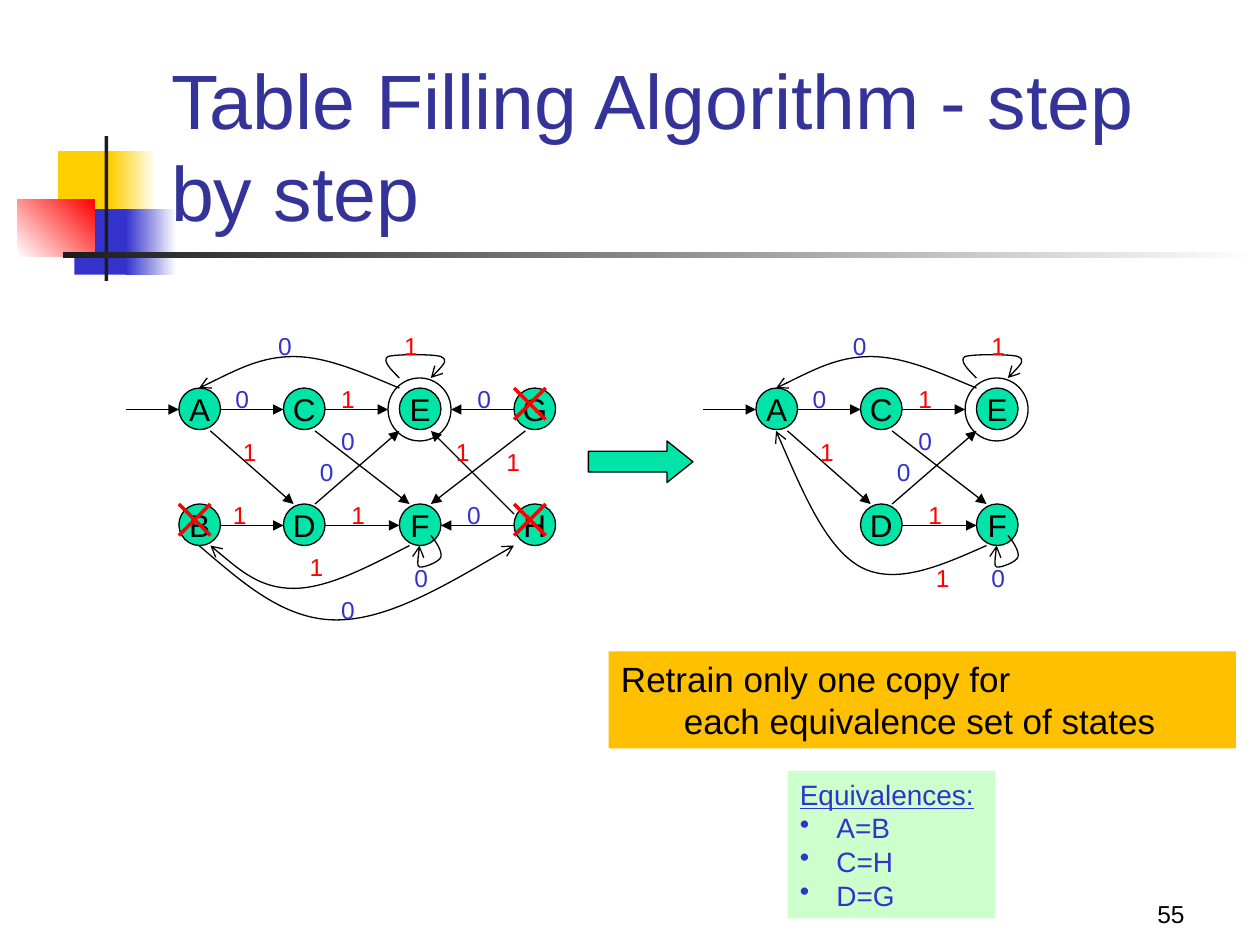
from dataclasses import dataclass

from lxml import etree
from pptx import Presentation
from pptx.dml.color import RGBColor
from pptx.enum import shapes, text
from pptx.oxml.ns import qn
from pptx.util import Inches, Pt


@dataclass(frozen=True)
class Theme:
    font: str = "Arial"
    black: str = "000000"
    white: str = "FFFFFF"
    charcoal: str = "1C1C1C"
    yellow: str = "FFCF01"
    blue: str = "3333CC"
    red: str = "FF0000"
    title: str = "333399"
    state: str = "00E4A8"
    note: str = "FFC000"
    equivalences: str = "CCFFCC"
    title_size: int = 44
    note_size: int = 20
    state_size: int = 18
    list_size: int = 16
    label_size: int = 14


theme = Theme()
rgb = RGBColor.from_string


def draw_edge(shape, head, color=theme.black, width=0.75):
    """Style a connector or open curve, without shadow, with an optional arrowhead."""
    shape.line.color.rgb = rgb(color)
    shape.line.width = Pt(width)
    if head:
        etree.SubElement(shape.line._get_or_add_ln(), qn("a:tailEnd"), type=head)
    etree.SubElement(shape._element.spPr, qn("a:effectLst"))


def write(shape, lines, size, color, align=text.PP_ALIGN.LEFT, anchor=text.MSO_ANCHOR.TOP):
    frame = shape.text_frame
    frame.word_wrap = True
    frame.vertical_anchor = anchor
    for index, line in enumerate(lines):
        paragraph = frame.add_paragraph() if index else frame.paragraphs[0]
        paragraph.text = line
        paragraph.alignment = align
        paragraph.font.name = theme.font
        paragraph.font.size = Pt(size)
        paragraph.font.color.rgb = rgb(color)


presentation = Presentation()
presentation.slide_width = Inches(10)
presentation.slide_height = Inches(7.5)
slide = presentation.slides.add_slide(presentation.slide_layouts[6])

# Title ornament: left, top, width, height, first colour, last colour, angle
ornament = [
    (0.46, 1.2, 0.48, 0.52, theme.yellow, None, 0),
    (0.88, 1.2, 0.36, 0.52, theme.yellow, theme.white, 0),
    (0.59, 1.66, 0.46, 0.52, theme.blue, None, 0),
    (1, 1.66, 0.4, 0.52, theme.blue, theme.white, 0),
    (0.14, 1.58, 0.61, 0.46, theme.white, theme.red, 45),
    (0.83, 1.08, 0.03, 1.15, theme.charcoal, None, 0),
    (0.5, 2, 9.5, 0.05, theme.charcoal, theme.white, 0),
]
for *box, first, last, angle in ornament:
    block = slide.shapes.add_shape(shapes.MSO_SHAPE.RECTANGLE, *map(Inches, box))
    block.shadow.inherit = False
    block.line.fill.background()
    if last:
        block.fill.gradient()
        block.fill.gradient_angle = angle
        for stop, color in zip(block.fill.gradient_stops, (first, last)):
            stop.color.rgb = rgb(color)
    else:
        block.fill.solid()
        block.fill.fore_color.rgb = rgb(first)

title = slide.shapes.add_textbox(Inches(1.26), Inches(0.68), Inches(8.52), Inches(1.25))
write(title, ["Table Filling Algorithm - step by step"], theme.title_size, theme.title,
      anchor=text.MSO_ANCHOR.BOTTOM)
number = slide.shapes.add_textbox(Inches(7.42), Inches(6.92), Inches(2.08), Inches(0.5))
write(number, ["55"], theme.label_size, theme.black, text.PP_ALIGN.RIGHT,
      text.MSO_ANCHOR.BOTTOM)

# Both automata share one layout; the minimized one stands further right
SHIFT = 4.58
DIAMETER = 0.33
COLUMNS = (1.42, 2.25, 3.17, 4.08)
ROWS = (3.08, 4)
corners = {name: (left, top) for top, names in zip(ROWS, ("ACEG", "BDFH"))
           for left, name in zip(COLUMNS, names)}

shared_arrows = [
    (1, 3.25, 1.42, 3.25), (1.75, 3.25, 2.25, 3.25), (2.58, 3.25, 3.08, 3.25),
    (2.58, 4.17, 3.17, 4.17), (1.67, 3.42, 2.33, 4), (2.5, 4, 3.17, 3.42),
    (2.5, 3.42, 3.25, 4),
]
full_arrows = [
    (4.08, 3.25, 3.58, 3.25), (1.75, 4.17, 2.25, 4.17), (4.08, 4.17, 3.5, 4.17),
    (4.17, 3.42, 3.42, 4), (4.08, 4.08, 3.42, 3.42),
]
# Curves: a start point, then three Bézier points for each segment
shared_curves = [
    [(3.42, 4.25), (3.47, 4.31), (3.51, 4.38), (3.5, 4.42),
     (3.49, 4.46), (3.36, 4.51), (3.33, 4.5), (3.31, 4.49), (3.32, 4.41), (3.33, 4.33)],
    [(3.17, 3), (3.1, 2.93), (3.03, 2.86), (3.08, 2.83),
     (3.14, 2.81), (3.44, 2.81), (3.5, 2.83), (3.56, 2.86), (3.49, 2.93), (3.42, 3)],
    [(3.17, 3.08), (2.88, 2.96), (2.6, 2.83), (2.33, 2.83),
     (2.07, 2.83), (1.83, 2.96), (1.58, 3.08)],
]
full_curves = [
    [(3.25, 4.33), (2.92, 4.5), (2.6, 4.67), (2.33, 4.67),
     (2.07, 4.67), (1.87, 4.5), (1.67, 4.33)],
    [(1.58, 4.33), (1.92, 4.62), (2.25, 4.92), (2.67, 4.92),
     (3.08, 4.92), (3.58, 4.62), (4.08, 4.33)],
]
minimized_curves = [
    [(3.25, 4.33), (2.89, 4.49), (2.53, 4.65), (2.25, 4.5),
     (1.98, 4.35), (1.78, 3.88), (1.58, 3.42)],
]
shared_labels = [
    ("0", 1.77, 3), ("1", 2.61, 3), ("1", 1.83, 3.42), ("0", 2.61, 3.33),
    ("0", 2.44, 3.58), ("1", 2.69, 3.92), ("0", 3.19, 4.42),
]
full_labels = [
    ("1", 1.75, 3.92), ("1", 2.36, 4.33), ("1", 3.92, 3.5), ("1", 3.52, 3.42),
    ("1", 3.11, 2.58), ("0", 2.11, 2.58), ("0", 2.61, 4.67), ("0", 3.61, 3.92),
    ("0", 3.69, 3),
]
minimized_labels = [("1", 3.19, 2.58), ("0", 2.09, 2.58), ("1", 2.75, 4.42)]

automata = [
    (0, "ACEGBDFH", full_arrows, full_curves, full_labels),
    (SHIFT, "ACEDF", [], minimized_curves, minimized_labels),
]
for shift, states, arrows, curves, labels in automata:
    for name in states:
        left, top = corners[name]
        state = slide.shapes.add_shape(shapes.MSO_SHAPE.OVAL, Inches(left + shift),
                                       Inches(top), Inches(DIAMETER), Inches(DIAMETER))
        state.shadow.inherit = False
        state.fill.solid()
        state.fill.fore_color.rgb = rgb(theme.state)
        state.line.color.rgb = rgb(theme.black)
        state.line.width = Pt(0.75)
        write(state, [name], theme.state_size, theme.black, text.PP_ALIGN.CENTER,
              text.MSO_ANCHOR.MIDDLE)
        state.text_frame.word_wrap = False

    accepting_ring = slide.shapes.add_shape(shapes.MSO_SHAPE.OVAL, Inches(3.08 + shift),
                                            Inches(3), Inches(0.5), Inches(0.5))
    accepting_ring.fill.background()
    draw_edge(accepting_ring, None)

    for x1, y1, x2, y2 in shared_arrows + arrows:
        arrow = slide.shapes.add_connector(
            shapes.MSO_CONNECTOR.STRAIGHT, Inches(x1 + shift), Inches(y1),
            Inches(x2 + shift), Inches(y2))
        draw_edge(arrow, "triangle")

    for curve in shared_curves + curves:
        start, *points = [(Inches(x + shift), Inches(y)) for x, y in curve]
        builder = slide.shapes.build_freeform(*start)
        builder.add_line_segments(points, close=False)
        transition = builder.convert_to_shape()
        # Every three straight segments become one Bézier segment
        outline = next(transition._element.iter(qn("a:path")))
        segments = list(outline)[1:]
        for index in range(0, len(segments), 3):
            bezier = etree.SubElement(outline, qn("a:cubicBezTo"))
            for segment in segments[index:index + 3]:
                bezier.append(segment[0])
                outline.remove(segment)
        transition.fill.background()
        draw_edge(transition, "arrow")

    for symbol, left, top in shared_labels + labels:
        label = slide.shapes.add_textbox(Inches(left + shift), Inches(top),
                                         Inches(0.31), Inches(0.33))
        write(label, [symbol], theme.label_size, theme.blue if symbol == "0" else theme.red)

# Crosses over the redundant states
CROSS = 0.25
for name in "BHG":
    left, top = corners[name]
    for start_y, end_y in ((top, top + CROSS), (top + CROSS, top)):
        stroke = slide.shapes.add_connector(
            shapes.MSO_CONNECTOR.STRAIGHT, Inches(left), Inches(start_y),
            Inches(left + CROSS), Inches(end_y))
        draw_edge(stroke, None, theme.red, 2)

becomes = slide.shapes.add_shape(shapes.MSO_SHAPE.RIGHT_ARROW, Inches(4.67), Inches(3.5),
                                 Inches(0.83), Inches(0.33))
becomes.adjustments[1] = 0.625
becomes.fill.solid()
becomes.fill.fore_color.rgb = rgb(theme.state)
draw_edge(becomes, None)

panels = [
    (6.25, 6.12, 1.65, 1.17, theme.equivalences, ["Equivalences:", "A=B", "C=H", "D=G"],
     theme.list_size, theme.blue),
    (4.83, 5.17, 4.98, 0.77, theme.note,
     ["Retrain only one copy for\v\teach equivalence set of states"],
     theme.note_size, theme.black),
]
for *box, fill, lines, size, color in panels:
    panel = slide.shapes.add_textbox(*map(Inches, box))
    panel.fill.solid()
    panel.fill.fore_color.rgb = rgb(fill)
    write(panel, lines, size, color)
    if len(lines) > 1:
        heading, *items = panel.text_frame.paragraphs
        heading.runs[0].font.underline = True
        for item in items:
            properties = item._p.get_or_add_pPr()
            properties.set("marL", str(Inches(0.29)))
            properties.set("indent", str(-Inches(0.29)))
            bullet = etree.Element(qn("a:buChar"), char="•")
            properties.insert(0, bullet)

presentation.save("out.pptx")
